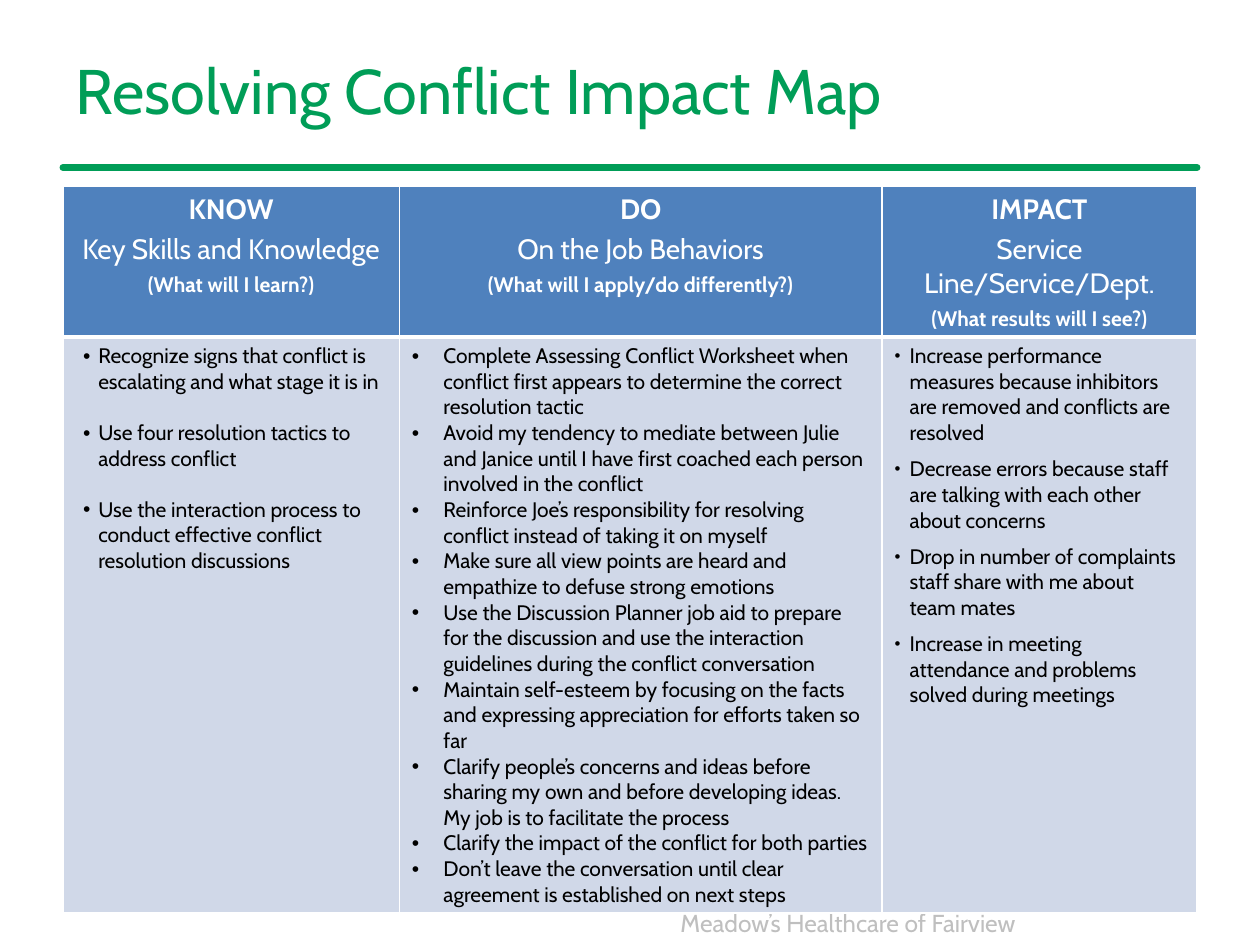
from lxml import etree
from pptx import Presentation
from pptx.dml.color import RGBColor
from pptx.enum.shapes import MSO_CONNECTOR
from pptx.enum.text import MSO_ANCHOR, MSO_AUTO_SIZE, PP_ALIGN
from pptx.oxml.ns import qn
from pptx.util import Inches, Pt

LEFT, CENTER, RIGHT = PP_ALIGN.LEFT, PP_ALIGN.CENTER, PP_ALIGN.RIGHT
MIDDLE = MSO_ANCHOR.MIDDLE
NO_FIT = MSO_AUTO_SIZE.NONE
STRAIGHT = MSO_CONNECTOR.STRAIGHT
TITLE_ONLY = 5
UNIT = 0.25
GREEN, GREY, WHITE, BLACK = "009D57", "BFBFBF", "FFFFFF", "000000"
HEADER_FILL, BODY_FILL = "4F81BD", "D0D8E8"


def color(value):
    return RGBColor.from_string(value)


def grid(*units):
    return [Inches(u * UNIT) for u in units]


class Slide:
    font = "Cabin"

    def __init__(self, prs):
        self.s = prs.slides.add_slide(prs.slide_layouts[TITLE_ONLY])

    def style(self, p, text, size, fill, align=LEFT, bold=False, before=0):
        p.text = text
        p.alignment = align
        p.space_before = Pt(before)
        f = p.font
        f.name, f.size, f.bold = self.font, Pt(size), bold
        f.color.rgb = color(fill)

    def title(self, text, box):
        sp = self.s.shapes.title
        sp.left, sp.top, sp.width, sp.height = grid(*box)
        tf = sp.text_frame
        tf.auto_size, tf.vertical_anchor = NO_FIT, MIDDLE
        self.style(tf.paragraphs[0], text, 36, GREEN)

    def label(self, text, box):
        tf = self.s.shapes.add_textbox(*grid(*box)).text_frame
        tf.word_wrap = True
        self.style(tf.paragraphs[0], text, 14, GREY, RIGHT)

    def rule(self, x, y, width):
        line = self.s.shapes.add_connector(STRAIGHT, *grid(x, y, x + width, y))
        line.line.color.rgb = color(GREEN)
        line.line.width = Pt(4)
        line.line._get_or_add_ln().set("cap", "rnd")
        etree.SubElement(line._element.spPr, qn("a:effectLst"))

    def bullet(self, p, left, hang, size):
        pPr = p._p.get_or_add_pPr()
        pPr.set("marL", str(Inches(left)))
        pPr.set("indent", str(-Inches(hang)))
        marks = [("a:buSzPct", "val", str(size * 1000)),
                 ("a:buFont", "typeface", "Arial"), ("a:buChar", "char", "•")]
        defaults = pPr.find(qn("a:defRPr"))
        for tag, key, value in marks:
            mark = etree.Element(qn(tag))
            mark.set(key, value)
            defaults.addprevious(mark)

    def cell(self, cell, fill, bottom):
        tcPr = cell._tc.get_or_add_tcPr()
        for side, width in zip("LRTB", (1, 1, 1, bottom)):
            ln = etree.SubElement(tcPr, qn("a:ln" + side), w=str(Pt(width)))
            solid = etree.SubElement(ln, qn("a:solidFill"))
            etree.SubElement(solid, qn("a:srgbClr"), val=WHITE)
        cell.fill.solid()
        cell.fill.fore_color.rgb = color(fill)

    def paragraphs(self, cell, texts):
        tf = cell.text_frame
        for i, text in enumerate(texts):
            yield i, text, tf.add_paragraph() if i else tf.paragraphs[0]

    def table(self, x, y, widths, heights, columns):
        frame = self.s.shapes.add_table(
            len(heights), len(widths), *grid(x, y, sum(widths), sum(heights)))
        table = frame.table
        for row, height in zip(table.rows, grid(*heights)):
            row.height = height
        for c, (width, column) in enumerate(zip(grid(*widths), columns)):
            heads, items, left, hang, gap, size = column
            table.columns[c].width = width
            head, body = table.cell(0, c), table.cell(1, c)
            self.cell(head, HEADER_FILL, 3)
            self.cell(body, BODY_FILL, 1)
            for i, text, p in self.paragraphs(head, heads):
                self.style(p, text, (16, 16, 12)[i], WHITE, CENTER, i != 1, 3.4)
            for i, text, p in self.paragraphs(body, items):
                self.style(p, text, 12, BLACK, before=gap if i else 0)
                self.bullet(p, left, hang, size)


KNOW = [
    "Recognize signs that conflict is escalating and what stage it is in",
    "Use four resolution tactics to address conflict",
    "Use the interaction process to conduct effective conflict resolution discussions",
]
DO = [
    "Complete Assessing Conflict Worksheet when conflict first appears to determine the correct resolution tactic",
    "Avoid my tendency to mediate between Julie and Janice until I have first coached each person involved in the conflict",
    "Reinforce Joe’s responsibility for resolving conflict instead of taking it on myself",
    "Make sure all view points are heard and empathize to defuse strong emotions",
    "Use the Discussion Planner job aid to prepare for the discussion and use the interaction guidelines during the conflict conversation",
    "Maintain self-esteem by focusing on the facts and expressing appreciation for efforts taken so far",
    "Clarify people’s concerns and ideas before sharing my own and before developing ideas. My job is to facilitate the process",
    "Clarify the impact of the conflict for both parties",
    "Don’t leave the conversation until clear agreement is established on next steps",
]
IMPACT = [
    "Increase performance measures because inhibitors are removed and conflicts are resolved",
    "Decrease errors because staff are talking with each other about concerns",
    "Drop in number of complaints staff share with me about team mates",
    "Increase in meeting attendance and problems solved during meetings",
]
COLUMNS = [
    (("KNOW", "Key Skills and Knowledge", "(What will I learn?)"),
     KNOW, 0.18, 0.12, 14.6, 100),
    (("DO", "On the Job Behaviors", "(What will I apply/do differently?)"),
     DO, 0.25, 0.25, 0, 100),
    (("IMPACT", "Service Line/Service/Dept.", "(What results will I see?)"),
     IMPACT, 0.12, 0.12, 6, 80),
]

prs = Presentation()
prs.slide_width, prs.slide_height = grid(40, 30)
slide = Slide(prs)
slide.rule(2, 5.32, 36)
slide.label("Meadow’s Healthcare of Fairview", (4.32, 28.64, 28.32, 1.36))
slide.title("Resolving Conflict Impact Map", (2, 0.68, 36, 4.32))
slide.table(2, 5.92, (10.68, 15.32, 10), (4.76, 18.28), COLUMNS)
prs.save("out.pptx")
